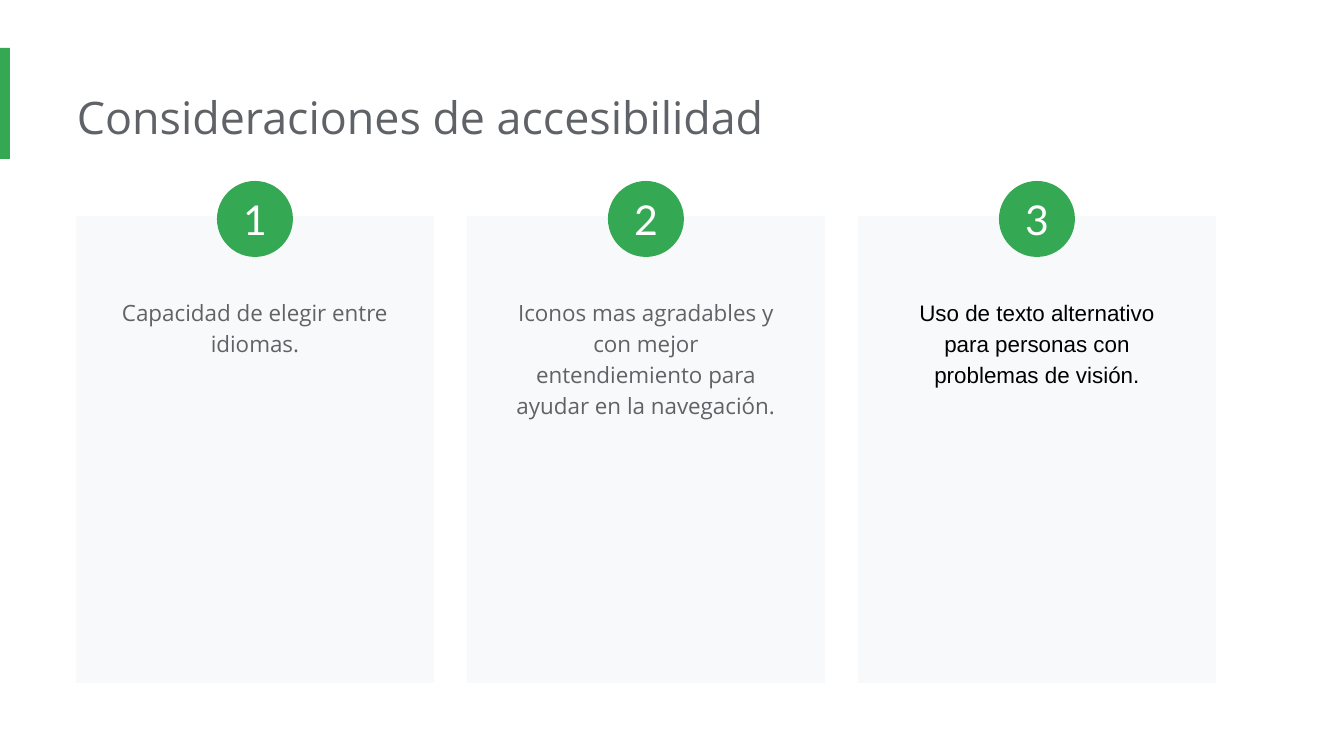
import pptx
import pptx.dml.color
import pptx.enum.shapes
import pptx.enum.text
import pptx.util

PX = 914400 / 134.4
SHAPES = pptx.enum.shapes.MSO_SHAPE
GREEN, GREY, PALE = "34A853", "5F6368", "F8F9FA"


def color(hex_code):
    return pptx.dml.color.RGBColor.from_string(hex_code)


def add_block(kind, box, fill=None, text="", font="Open Sans", size=12,
              ink=GREY, insets=(13, 13, 13, 13)):
    """Add a filled shape, or a text box when kind is None; box and insets in px."""
    place = [round(v * PX) for v in box]
    if kind is None:
        block = slide.shapes.add_textbox(*place)
    else:
        block = slide.shapes.add_shape(kind, *place)
        block.shadow.inherit = False
        block.fill.solid()
        block.fill.fore_color.rgb = color(fill)
        block.line.fill.background()
    if text:
        frame = block.text_frame
        frame.text = text
        frame.word_wrap = True
        (frame.margin_left, frame.margin_top,
         frame.margin_right, frame.margin_bottom) = [round(v * PX) for v in insets]
        run_font = frame.paragraphs[0].runs[0].font
        run_font.name = font
        run_font.size = pptx.util.Pt(size)
        run_font.color.rgb = color(ink)
    return block


deck = pptx.Presentation()
deck.slide_width = round(1344 * PX)
deck.slide_height = round(756 * PX)
slide = deck.slides.add_slide(deck.slide_layouts[6])

add_block(SHAPES.RECTANGLE, (0, 48, 10, 111), GREEN)
add_block(None, (77, 77, 1030, 82), text="Consideraciones de accesibilidad",
          size=24, insets=(0, 13, 13, 13))

considerations = [
    ("Capacidad de elegir entre idiomas.", 90, "Open Sans", GREY),
    ("Iconos mas agradables y con mejor entendiemiento para ayudar en la navegación.",
     152, "Open Sans", GREY),
    ("Uso de texto alternativo para personas con problemas de visión.",
     121, "Arial", "000000"),
]
card_left, card_width, card_gap = 76, 358, 33
badge_size, text_width = 76, 301

for index, (consideration, height, font, ink) in enumerate(considerations):
    left = card_left + index * (card_width + card_gap)
    add_block(SHAPES.RECTANGLE, (left, 216, card_width, 467), PALE)

    body = add_block(None, (left + (card_width - text_width) / 2, 282, text_width, height),
                     text=consideration, font=font, ink=ink)
    body.text_frame.paragraphs[0].alignment = pptx.enum.text.PP_ALIGN.CENTER
    body.text_frame.paragraphs[0].line_spacing = 1.15

    badge = add_block(SHAPES.OVAL,
                      (left + (card_width - badge_size) / 2, 181, badge_size, badge_size),
                      GREEN, str(index + 1), "Lato", 22, "FFFFFF", (0, 0, 0, 0))
    badge.text_frame.vertical_anchor = pptx.enum.text.MSO_ANCHOR.MIDDLE
    badge.text_frame.paragraphs[0].alignment = pptx.enum.text.PP_ALIGN.CENTER

deck.save("out.pptx")
